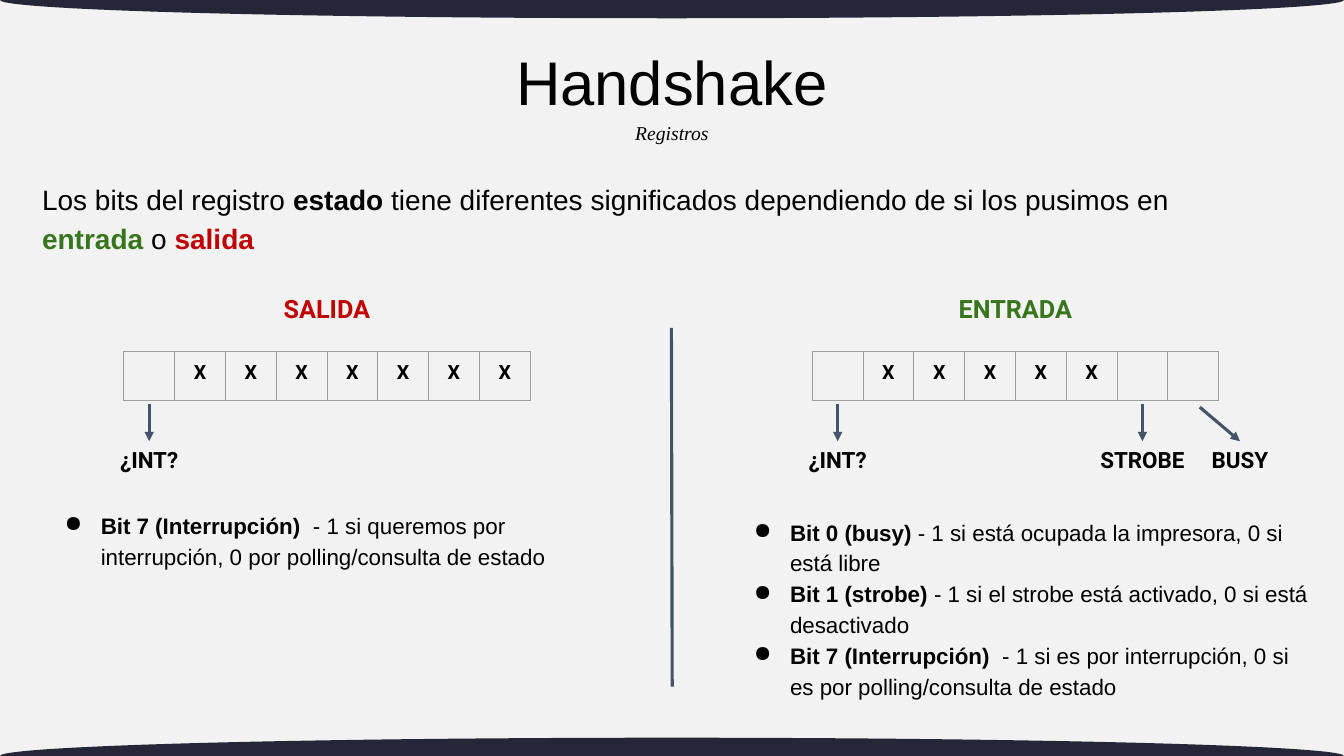
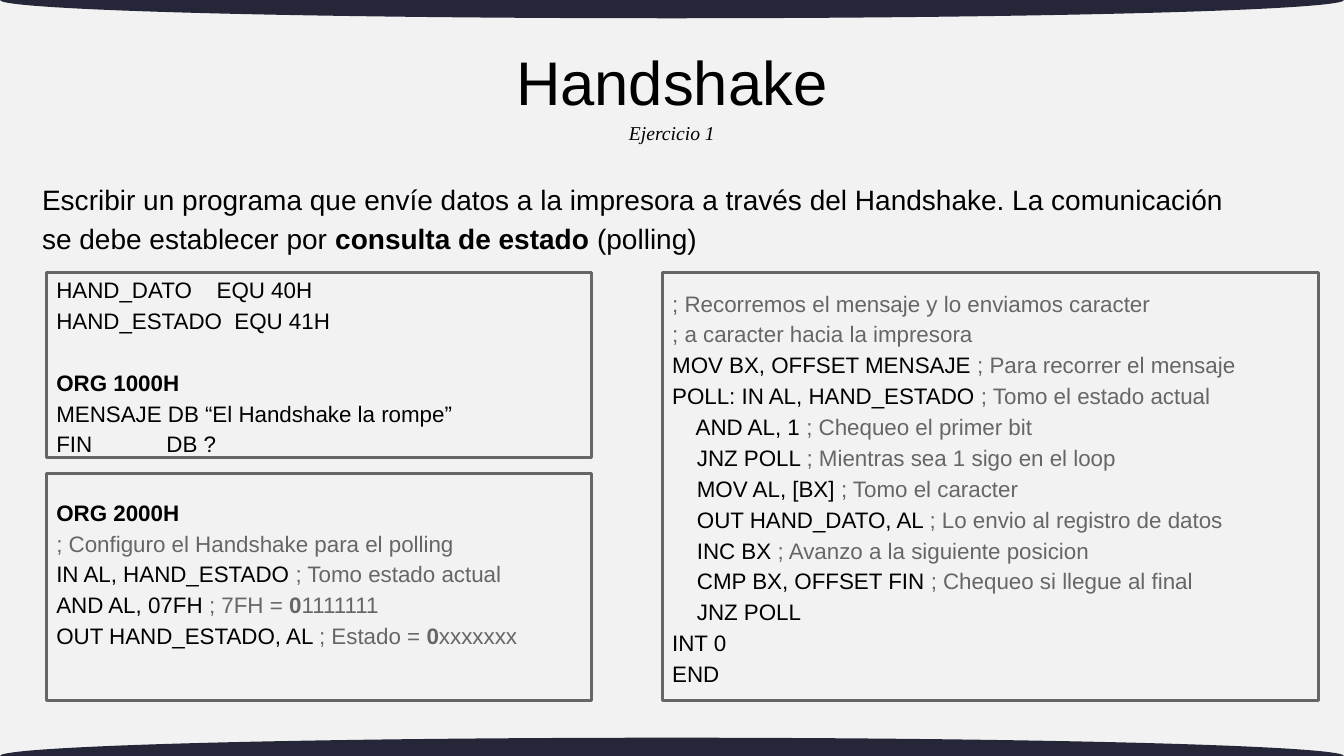
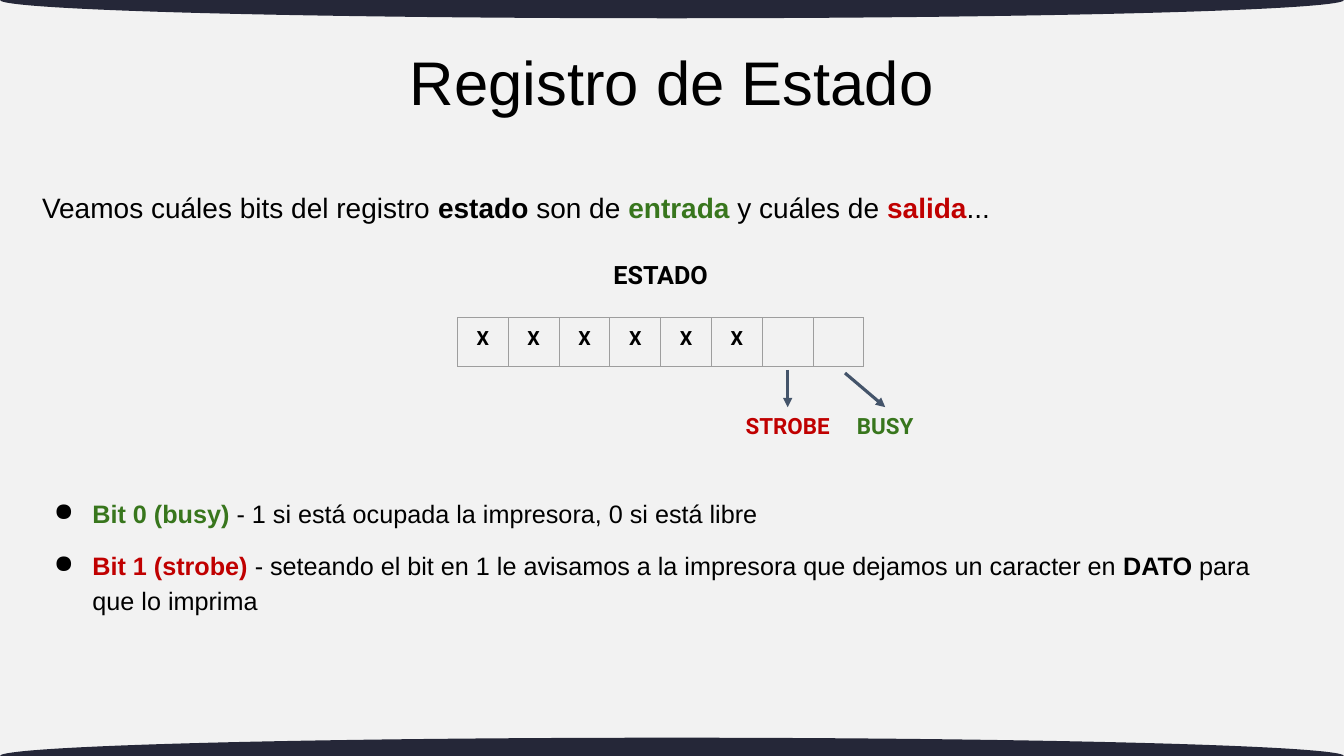
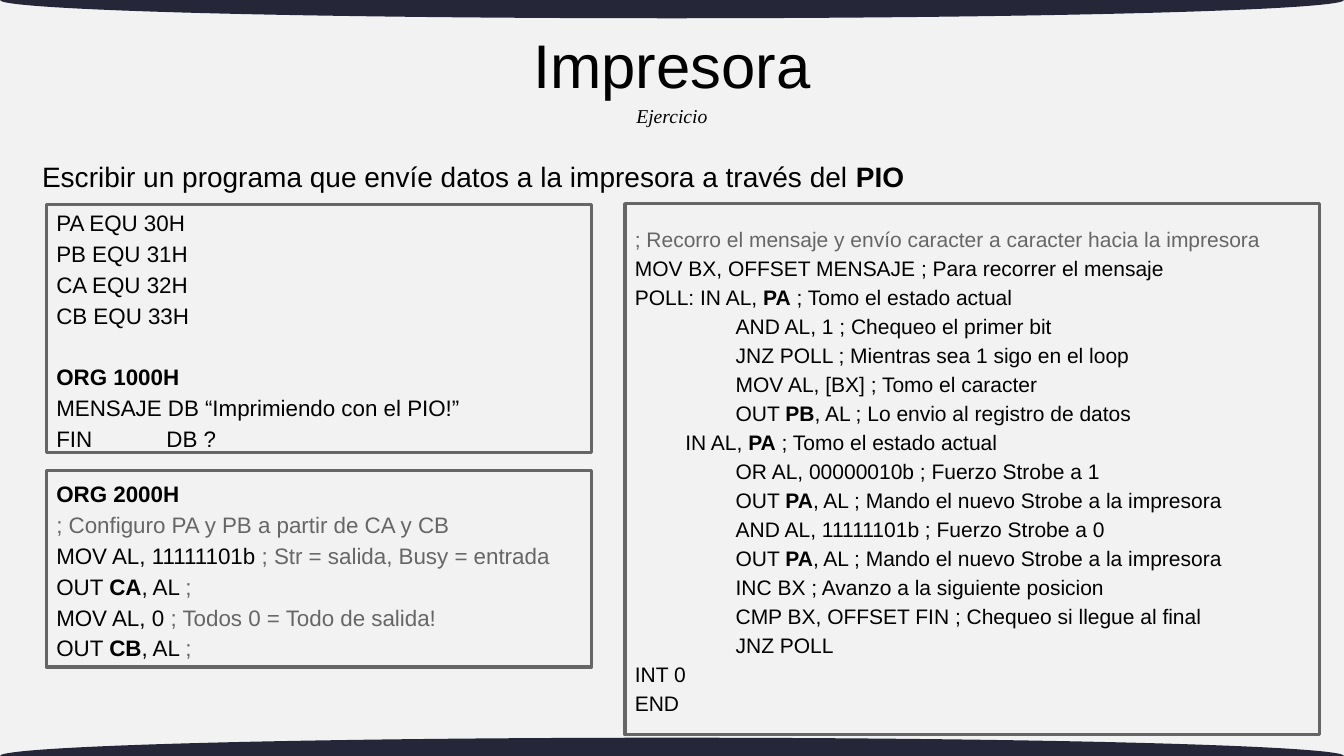
from lxml import etree
from pptx import Presentation
from pptx.dml.color import RGBColor
from pptx.enum.shapes import MSO_CONNECTOR, MSO_SHAPE
from pptx.enum.text import MSO_ANCHOR, PP_ALIGN
from pptx.oxml.ns import qn
from pptx.util import Cm, Pt

STRAIGHT = MSO_CONNECTOR.STRAIGHT
RECTANGLE, OVAL = MSO_SHAPE.RECTANGLE, MSO_SHAPE.OVAL
TOP, MIDDLE = MSO_ANCHOR.TOP, MSO_ANCHOR.MIDDLE
LEFT, CENTER = PP_ALIGN.LEFT, PP_ALIGN.CENTER

COLORS = {
    "paper": "F2F2F2", "band": "252738", "black": "000000", "grey": "666666",
    "green": "38761D", "red": "C00000", "arrow": "44546A", "grid": "9E9E9E",
}
WIDTH, HEIGHT = 33.87, 19.05
BAND = 0.92
CELL = 1.28


def rgb(name):
    return RGBColor.from_string(COLORS[name])


def child(parent, tag, **attributes):
    return etree.SubElement(parent, qn(tag), attributes)


def marked(text, **look):
    parts = enumerate(text.split("*"))
    return [(part, {**look, "bold": index % 2 == 1}) for index, part in parts if part]


def code(lines, note="grey"):
    result = []
    for line in lines:
        command, sign, comment = line.partition(";")
        result.append(marked(command) + marked(sign + comment, color=note))
    return result


class Slides:
    def __init__(self):
        self.deck = Presentation()
        self.deck.slide_width, self.deck.slide_height = Cm(WIDTH), Cm(HEIGHT)
        background = self.deck.slide_master.background.fill
        background.solid()
        background.fore_color.rgb = rgb("paper")
        self.page = None

    def start(self, title, subtitle=None, top=0.97, width=10.2):
        self.page = self.deck.slides.add_slide(self.deck.slide_layouts[6])
        for edge in (0, HEIGHT):
            band = self.shape(OVAL, 0, edge - BAND / 2, WIDTH, BAND)
            band.fill.solid()
            band.fill.fore_color.rgb = rgb("band")
            band.line.fill.background()
        self.text([marked(title)], (WIDTH - width) / 2, top, width, 2.38,
                  size=44, align=CENTER, spacing=0.9)
        if subtitle:
            self.text([marked(subtitle, italic=True)], (WIDTH - 11.54) / 2, top + 1.96,
                      11.54, 0.86, size=14, font="Times New Roman", align=CENTER,
                      anchor=TOP, spacing=1)

    def shape(self, kind, left, top, width, height):
        shape = self.page.shapes.add_shape(kind, Cm(left), Cm(top), Cm(width), Cm(height))
        shape.shadow.inherit = False
        return shape

    def text(self, paragraphs, left, top, width, height, **look):
        box = self.page.shapes.add_textbox(Cm(left), Cm(top), Cm(width), Cm(height))
        self.set_text(box.text_frame, paragraphs, **look)
        return box

    def set_text(self, frame, paragraphs, size=20, font="Arial", align=LEFT, anchor=MIDDLE,
                 spacing=1.15, hanging=0):
        frame.word_wrap = True
        frame.vertical_anchor = anchor
        gap, used = 0, 0
        for spans in paragraphs:
            if not spans:
                gap = 22
                continue
            para = frame.add_paragraph() if used else frame.paragraphs[0]
            used += 1
            properties = para._p.get_or_add_pPr()
            if hanging:
                properties.set("marL", str(Cm(1.27)))
                properties.set("indent", str(Cm(-hanging)))
                child(child(properties, "a:buClr"), "a:srgbClr", val=COLORS["black"])
                child(properties, "a:buChar", char="●")
            if spans[0][0].startswith("\t"):
                stops = child(properties, "a:tabLst")
                for stop in (1.27, 2.54):
                    child(stops, "a:tab", pos=str(Cm(stop)), algn="l")
            para.alignment, para.line_spacing = align, spacing
            if gap:
                para.space_before, gap = Pt(gap), 0
            for text, style in spans:
                span = para.add_run()
                span.text = text
                span.font.name, span.font.size = font, Pt(size)
                span.font.bold = style["bold"]
                span.font.italic = style.get("italic", False)
                span.font.color.rgb = rgb(style.get("color", "black"))

    def intro(self, spans, top, height):
        self.text([spans], 0.81, top, 31.22, height)

    def bullets(self, paragraphs, left, top, width, height, size=16, hanging=0.91):
        self.text(paragraphs, left, top, width, height, size=size, hanging=hanging)

    def listing(self, paragraphs, left, top, width, height, size=16, bottom=0.13):
        box = self.shape(RECTANGLE, left, top, width, height)
        box.fill.background()
        box.line.color.rgb = rgb("grey")
        box.line.width = Pt(2.25)
        box.text_frame.margin_bottom = Cm(bottom)
        self.set_text(box.text_frame, paragraphs, size=size)

    def line(self, start, end, arrow=False):
        line = self.page.shapes.add_connector(STRAIGHT, *map(Cm, start + end))
        line.line.color.rgb = rgb("arrow")
        line.line.width = Pt(2.25)
        if arrow:
            child(line.line._get_or_add_ln(), "a:tailEnd", type="triangle")
        child(line._element.spPr, "a:effectLst")
        return line

    def label(self, text, color, middle, top, width, height, size):
        return self.text([marked(f"*{text}*", color=color)], middle - width / 2, top, width,
                         height, size=size, font="Roboto", align=CENTER, anchor=TOP, spacing=1)

    def register(self, name, color, left, top, bits, pointers):
        self.label(name, color, left + len(bits) * CELL / 2, top - 1.6, 6.68, 1.27, 18)
        frame = self.page.shapes.add_table(1, len(bits), Cm(left), Cm(top),
                                           Cm(CELL * len(bits)), Cm(1.24))
        table = frame.table
        table.first_row = table.horz_banding = False
        for cell, bit in zip(table.rows[0].cells, bits):
            self.bit(cell, bit)
        for index, text, tint, lean in pointers:
            middle = left + (index + 0.5) * CELL
            target = self.label(text, tint, middle + lean, top + 2.26,
                                2.16 if lean else 2.87, 0.86, 16)
            start = (middle + lean * 0.14, top + (1.4 if lean else 1.32))
            arrow = self.line(start, (middle + lean, top + 2.26), arrow=True)
            arrow.end_connect(target, 0)

    def bit(self, cell, text):
        cell.margin_left = cell.margin_right = Cm(0.25)
        cell.margin_top = cell.margin_bottom = Cm(0.25)
        cell.fill.background()
        properties = cell._tc.get_or_add_tcPr()
        for place, side in enumerate(("a:lnL", "a:lnR", "a:lnT", "a:lnB")):
            border = child(properties, side, w=str(Pt(0.75)))
            child(child(border, "a:solidFill"), "a:srgbClr", val=COLORS["grid"])
            properties.insert(place, border)
        if text == "X":
            self.set_text(cell.text_frame, [marked("*X*")], size=14, font="Roboto",
                          align=CENTER, anchor=TOP, spacing=1)
        else:
            cell.text_frame.paragraphs[0].font.size = Pt(14)


def registers(slides):
    slides.start("Handshake", "Registros")
    slides.intro(
        marked("Los bits del registro *estado* tiene diferentes significados dependiendo "
               "de si los pusimos en ")
        + marked("*entrada *", color="green") + marked("o ")
        + marked("*salida*", color="red"), 4.52, 1.85)
    slides.line((16.92, 8.26), (16.94, 17.3))
    slides.register("SALIDA", "red", 3.12, 8.86, "-XXXXXXX", [(0, "¿INT?", "black", 0)])
    slides.bullets([
        marked("*Bit 7 (Interrupción) * - 1 si queremos por interrupción, "
               "0 por polling/consulta de estado"),
    ], 1.02, 12.78, 15.01, 1.6)
    slides.register("ENTRADA", "green", 20.47, 8.86, "-XXXXX--", [
        (0, "¿INT?", "black", 0), (6, "STROBE", "black", 0), (7, "BUSY", "black", 1.18)])
    slides.bullets([
        marked("*Bit 0 (busy)* - 1 si está ocupada la impresora, 0 si está libre"),
        marked("*Bit 1 (strobe) *- 1 si el strobe está activado, 0 si está desactivado"),
        marked("*Bit 7 (Interrupción) * - 1 si es por interrupción, "
               "0 si es por polling/consulta de estado"),
    ], 18.39, 12.78, 15.01, 5.05)


def polling_exercise(slides):
    slides.start("Handshake", "Ejercicio 1")
    slides.intro(
        marked("Escribir un programa que envíe datos a la impresora a través del Handshake. "
               "La comunicación se debe establecer por *consulta de estado* (polling)"),
        4.52, 1.85)
    slides.listing(code([
        "HAND_DATO    EQU 40H",
        "HAND_ESTADO  EQU 41H",
        "",
        "*ORG 1000H*",
        "MENSAJE DB “El Handshake la rompe”",
        "FIN            DB ?",
    ]), 1.17, 6.86, 13.74, 4.67)
    slides.listing(code([
        "*ORG 2000H*",
        "; Configuro el Handshake para el polling",
        "IN AL, HAND_ESTADO ; Tomo estado actual",
        "AND AL, 07FH ; 7FH = *0*1111111",
        "OUT HAND_ESTADO, AL ; Estado = *0*xxxxxxx",
    ]), 1.17, 11.94, 13.74, 5.72, bottom=0.9)
    slides.listing(code([
        "; Recorremos el mensaje y lo enviamos caracter",
        "; a caracter hacia la impresora",
        "MOV BX, OFFSET MENSAJE ; Para recorrer el mensaje",
        "POLL: IN AL, HAND_ESTADO ; Tomo el estado actual",
        "    AND AL, 1 ; Chequeo el primer bit",
        "    JNZ POLL ; Mientras sea 1 sigo en el loop",
        "    MOV AL, [BX] ; Tomo el caracter",
        "    OUT HAND_DATO, AL ; Lo envio al registro de datos",
        "    INC BX ; Avanzo a la siguiente posicion",
        "    CMP BX, OFFSET FIN ; Chequeo si llegue al final",
        "    JNZ POLL",
        "INT 0",
        "END",
    ]), 16.69, 6.86, 16.54, 10.8)


def status_register(slides):
    slides.start("Registro de Estado", width=13.92)
    slides.intro(
        marked("Veamos cuáles bits del registro *estado* son de ")
        + marked("*entrada*", color="green") + marked(" y cuáles de ")
        + marked("*salida*", color="red") + marked("..."), 4.52, 1.27)
    slides.register("ESTADO", "black", 11.53, 8, "XXXXXX--", [
        (6, "STROBE", "red", 0), (7, "BUSY", "green", 1.18)])
    slides.bullets([
        marked("*Bit 0 (busy)*", color="green")
        + marked(" - 1 si está ocupada la impresora, 0 si está libre"),
    ], 0.81, 12.34, 21.46, 1.09, size=18, hanging=0.97)
    slides.bullets([
        marked("*Bit 1 (strobe) *", color="red")
        + marked("- seteando el bit en 1 le avisamos a la impresora que dejamos "
                 "un caracter en *DATO* para que lo imprima"),
    ], 0.81, 13.77, 31.22, 1.73, size=18, hanging=0.97)


def printer_exercise(slides):
    slides.start("Impresora", "Ejercicio", top=0.53)
    slides.intro(
        marked("Escribir un programa que envíe datos a la impresora a través del *PIO*"),
        3.84, 1.07)
    slides.listing(code([
        "PA EQU 30H",
        "PB EQU 31H",
        "CA EQU 32H",
        "CB EQU 33H",
        "",
        "*ORG 1000H*",
        "MENSAJE DB “Imprimiendo con el PIO!”",
        "FIN            DB ?",
    ]), 1.17, 5.16, 13.74, 6.25)
    slides.listing(
        code(["; Recorro el mensaje y envío caracter a caracter hacia la impresora"])
        + code([
            "MOV BX, OFFSET MENSAJE ; Para recorrer el mensaje",
            "POLL: IN AL, *PA* ; Tomo el estado actual",
            "\t\tAND AL, 1 ; Chequeo el primer bit",
            "\t\tJNZ POLL ; Mientras sea 1 sigo en el loop",
            "\t\tMOV AL, [BX] ; Tomo el caracter",
            "\t\tOUT *PB*, AL ; Lo envio al registro de datos",
            "\tIN AL, *PA* ; Tomo el estado actual",
            "\t\tOR AL, 00000010b ; Fuerzo Strobe a 1",
            "\t\tOUT *PA*, AL ; Mando el nuevo Strobe a la impresora",
            "\t\tAND AL, 11111101b ; Fuerzo Strobe a 0",
            "\t\tOUT *PA*, AL ; Mando el nuevo Strobe a la impresora",
            "\t\tINC BX ; Avanzo a la siguiente posicion",
            "\t\tCMP BX, OFFSET FIN ; Chequeo si llegue al final",
            "\t\tJNZ POLL",
            "INT 0",
            "END",
        ], note="black"), 15.75, 5.13, 17.5, 13.39, size=15)
    slides.listing(code([
        "*ORG 2000H*",
        "; Configuro PA y PB a partir de CA y CB",
        "MOV AL, 11111101b ; Str = salida, Busy = entrada",
        "OUT *CA*, AL ;",
        "MOV AL, 0 ; Todos 0 = Todo de salida!",
        "OUT *CB*, AL ;",
    ]), 1.17, 11.86, 13.74, 4.95)


def main():
    slides = Slides()
    for build in (registers, polling_exercise, status_register, printer_exercise):
        build(slides)
    slides.deck.save("out.pptx")


if __name__ == "__main__":
    main()
